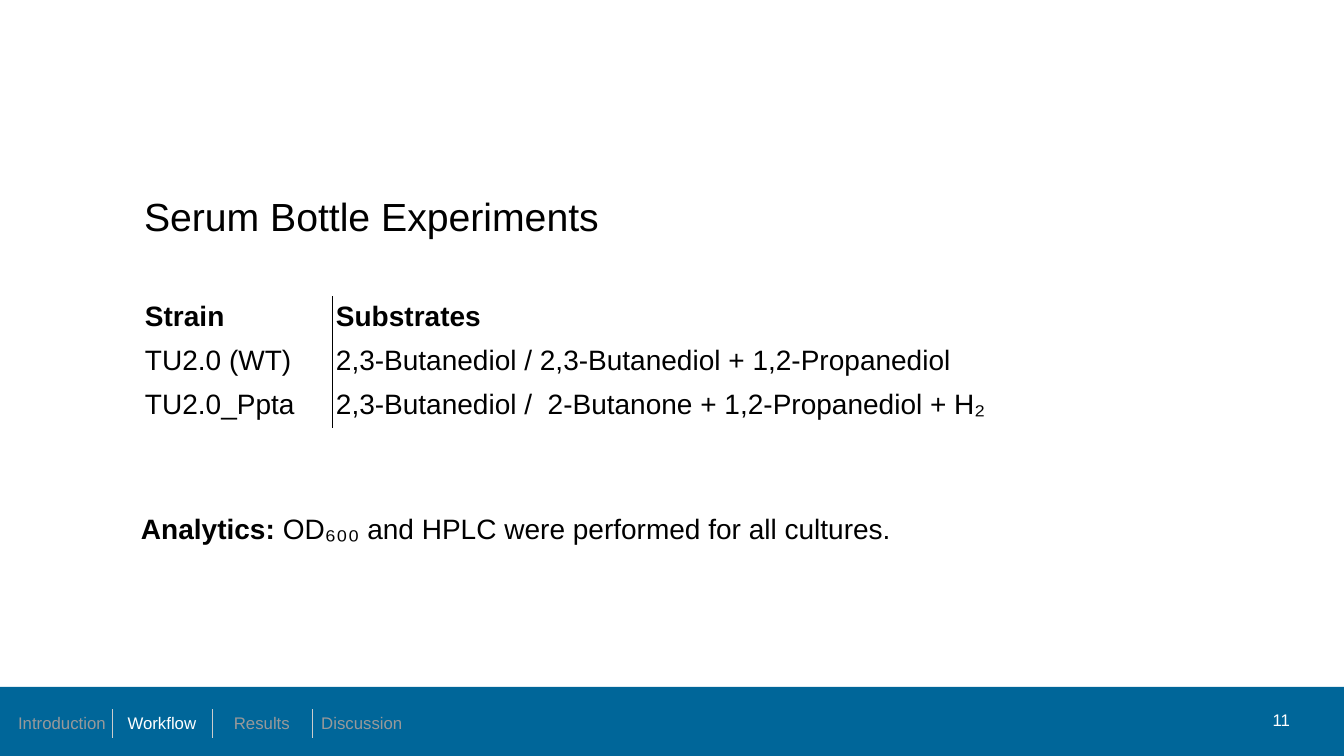
from lxml.etree import SubElement
from pptx import Presentation
from pptx.dml.color import RGBColor
from pptx.enum.shapes import MSO_SHAPE as Shape
from pptx.enum.text import MSO_ANCHOR as Anchor, MSO_AUTO_SIZE as AutoSize, PP_ALIGN as Align
from pptx.oxml.ns import qn
from pptx.util import Pt

TITLE = "Serum Bottle Experiments"
EXPERIMENTS = [
    ("Strain", "Substrates"),
    ("TU2.0 (WT)", "2,3-Butanediol / 2,3-Butanediol + 1,2-Propanediol"),
    ("TU2.0_Ppta", "2,3-Butanediol /  2-Butanone + 1,2-Propanediol + H₂"),
]
ANALYTICS = [("Analytics:", True), (" OD₆₀₀ and HPLC were performed for all cultures.", False)]
SECTIONS = ["Introduction", "Workflow", "Results", "Discussion"]
CURRENT = "Workflow"
PAGE = "11"
BLUE, BLACK, WHITE, GREY, RULE = "006699", "000000", "FFFFFF", "999999", "CCCCCC"
PX = 914400 / 100.8


def px(n):
    return round(n * PX)


def color(value):
    return RGBColor.from_string(value)


def write(tf, text, size=20, fill=BLACK, bold=False, align=Align.LEFT):
    p = tf.paragraphs[0]
    p.alignment = align
    r = p.add_run()
    r.text = text
    r.font.name, r.font.size, r.font.bold = "Arial", Pt(size), bold
    r.font.color.rgb = color(fill)
    return p


def set_frame(tf, inset_x, inset_y, anchor):
    tf.word_wrap = True
    tf.auto_size = AutoSize.NONE
    tf.vertical_anchor = anchor
    tf.margin_left = tf.margin_right = px(inset_x)
    tf.margin_top = tf.margin_bottom = px(inset_y)


def add_text(s, x, y, w, h, inset_x=0, inset_y=0, anchor=Anchor.MIDDLE):
    tf = s.shapes.add_textbox(px(x), px(y), px(w), px(h)).text_frame
    set_frame(tf, inset_x, inset_y, anchor)
    return tf


def set_borders(cell, ruled, rule):
    tc_pr = cell._tc.get_or_add_tcPr()
    for side in ("lnL", "lnR", "lnT", "lnB"):
        ln = SubElement(tc_pr, qn(f"a:{side}"), w=str(Pt(0.06)))
        if side in ruled:
            fill = SubElement(ln, qn("a:solidFill"))
            SubElement(fill, qn("a:srgbClr"), val=rule)
        else:
            SubElement(ln, qn("a:noFill"))
    cell.fill.background()


def add_grid(s, rows, x, y, widths, row_h, rule, style):
    table = s.shapes.add_table(len(rows), len(widths), px(x), px(y),
                               px(sum(widths)), px(row_h * len(rows))).table
    table.first_row = table.horz_banding = False
    for column, width in zip(table.columns, widths):
        column.width = px(width)
    for i, row in enumerate(rows):
        table.rows[i].height = px(row_h)
        for j, text in enumerate(row):
            cell = table.cell(i, j)
            cell.margin_left = cell.margin_right = px(4)
            cell.margin_top = cell.margin_bottom = px(5)
            ruled = {"lnL"} if j > 0 else set()
            if j < len(row) - 1:
                ruled.add("lnR")
            set_borders(cell, ruled, rule)
            write(cell.text_frame, text, **style(i, text))


def experiment_style(row, text):
    return {"bold": row == 0}


def section_style(row, text):
    return {"size": 12, "fill": WHITE if text == CURRENT else GREY, "align": Align.CENTER}


def main():
    prs = Presentation()
    prs.slide_width, prs.slide_height = px(1344), px(756)
    s = prs.slides.add_slide(prs.slide_layouts[5])

    bar = s.shapes.add_shape(Shape.RECTANGLE, 0, px(687), px(1344), px(69))
    bar.shadow.inherit = False
    bar.fill.solid()
    bar.fill.fore_color.rgb = color(BLUE)
    bar.line.fill.background()

    title = s.shapes.title
    title.left, title.top, title.width, title.height = px(144), px(170), px(1146), px(91)
    set_frame(title.text_frame, 0, 0, Anchor.MIDDLE)
    p = write(title.text_frame, TITLE, size=28)
    p.space_before, p.space_after = Pt(12), Pt(10)

    add_grid(s, EXPERIMENTS, 141, 296, [191, 694], 44, BLACK, experiment_style)
    tf = add_text(s, 131, 507, 1164, 43, 10, 5, Anchor.TOP)
    for text, bold in ANALYTICS:
        write(tf, text, bold=bold)

    add_grid(s, [SECTIONS], 12, 709, [100] * len(SECTIONS), 28, RULE, section_style)
    write(add_text(s, 1200, 704, 90, 31), PAGE, size=12, fill=WHITE, align=Align.RIGHT)
    prs.save("out.pptx")


if __name__ == "__main__":
    main()
